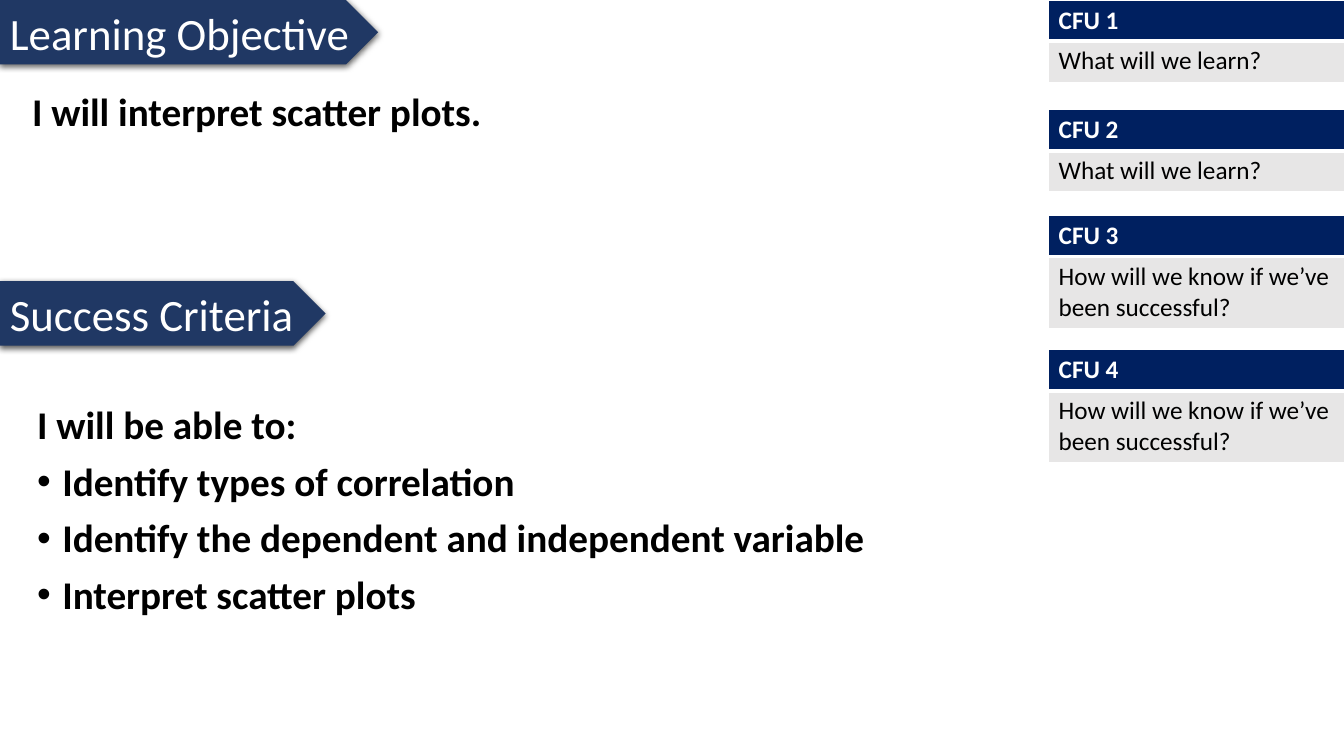
from lxml.etree import SubElement
from pptx import Presentation
from pptx.dml.color import RGBColor
from pptx.enum.shapes import MSO_SHAPE as Shape
from pptx.enum.text import MSO_ANCHOR as Anchor, PP_ALIGN as Align
from pptx.oxml.ns import qn
from pptx.util import Pt

EMU_PER_PX = 9144  # 100 px to the inch
NAVY, BANNER, GREY = "002060", "203864", "E7E6E6"
WHITE, BLACK = "FFFFFF", "000000"


def px(length):
    return length * EMU_PER_PX


def color(hex_value):
    return RGBColor.from_string(hex_value)


def add_xml(parent, tag, **attributes):
    values = {name: str(value) for name, value in attributes.items()}
    return SubElement(parent, qn(tag), values)


class SlideBuilder:
    font_name = "Calibri"

    def __init__(self, deck):
        self.slide = deck.slides.add_slide(deck.slide_layouts[6])

    def add_span(self, para, text, hex_value, **formats):
        span = para.add_run()
        span.text = text
        for name, value in {"name": self.font_name, **formats}.items():
            setattr(span.font, name, value)
        span.font.color.rgb = color(hex_value)

    def banner(self, text, top, width):
        """Add a shadowed arrow-shaped heading at the left edge."""
        box = self.slide.shapes.add_shape(
            Shape.PENTAGON, 0, px(top), px(width), px(64))
        box.fill.solid()
        box.fill.fore_color.rgb = color(BANNER)
        box.line.fill.background()
        box.shadow.inherit = False
        effects = box._element.spPr.find(qn("a:effectLst"))
        shadow = add_xml(effects, "a:outerShdw", blurRad=Pt(4.5), dist=Pt(1.5),
                         dir=5400000, algn="ctr", rotWithShape=0)
        shade = add_xml(shadow, "a:srgbClr", val=BLACK)
        add_xml(shade, "a:alpha", val=63000)
        frame = box.text_frame
        frame.word_wrap = True
        frame.vertical_anchor = Anchor.MIDDLE
        para = frame.paragraphs[0]
        para.alignment = Align.LEFT
        self.add_span(para, text, WHITE, size=Pt(32))

    def text(self, left, top, width, height, lead, bullets=()):
        """Add a bold lead line, followed by any bullets."""
        box = self.slide.shapes.add_textbox(
            px(left), px(top), px(width), px(height))
        frame = box.text_frame
        frame.word_wrap = True
        for index, line in enumerate([lead, *bullets]):
            para = frame.add_paragraph() if index else frame.paragraphs[0]
            para.line_spacing = 0.9
            if index:
                para.space_before = Pt(10)
                properties = para._p.get_or_add_pPr()
                properties.set("marL", str(px(25)))
                properties.set("indent", str(-px(25)))
                add_xml(properties, "a:buFont", typeface="Arial")
                add_xml(properties, "a:buChar", char="•")
            self.add_span(para, line, BLACK, size=Pt(28), bold=True)

    def borders(self, cell, widths):
        """Draw white borders; widths are points for left, right, top, bottom."""
        properties = cell._tc.get_or_add_tcPr()
        for side, width in zip("LRTB", widths):
            line = add_xml(properties, f"a:ln{side}", w=Pt(width))
            add_xml(add_xml(line, "a:solidFill"), "a:srgbClr", val=WHITE)

    def question_card(self, heading, question, top, question_height):
        heights = (39, question_height)
        table = self.slide.shapes.add_table(
            2, 1, px(1040), px(top), px(294), px(sum(heights))).table
        rows = (
            (heading, NAVY, WHITE, True, (1, 1, 1, 3)),
            (question, GREY, BLACK, False, (1, 1, 3, 1)),
        )
        for index, (text, fill, ink, bold, widths) in enumerate(rows):
            table.rows[index].height = px(heights[index])
            cell = table.cell(index, 0)
            self.borders(cell, widths)
            cell.fill.solid()
            cell.fill.fore_color.rgb = color(fill)
            self.add_span(cell.text_frame.paragraphs[0], text, ink,
                          size=Pt(18), bold=bold)


def main():
    deck = Presentation()
    deck.slide_width, deck.slide_height = px(1333), px(750)
    page = SlideBuilder(deck)

    page.banner("Learning Objective", 0, 375)
    page.banner("Success Criteria", 279, 323)

    learn = "What will we learn?"
    success = "How will we know if we’ve been successful?"
    cards = ((learn, 0, 41), (learn, 109, 41),
             (success, 214, 71), (success, 347, 71))
    for number, card in enumerate(cards, 1):
        page.question_card(f"CFU {number}", *card)

    page.text(22, 87, 970, 250, "I will interpret scatter plots.")
    page.text(27, 398, 959, 273, "I will be able to:", (
        "Identify types of correlation",
        "Identify the dependent and independent variable",
        "Interpret scatter plots",
    ))
    deck.save("out.pptx")


if __name__ == "__main__":
    main()
